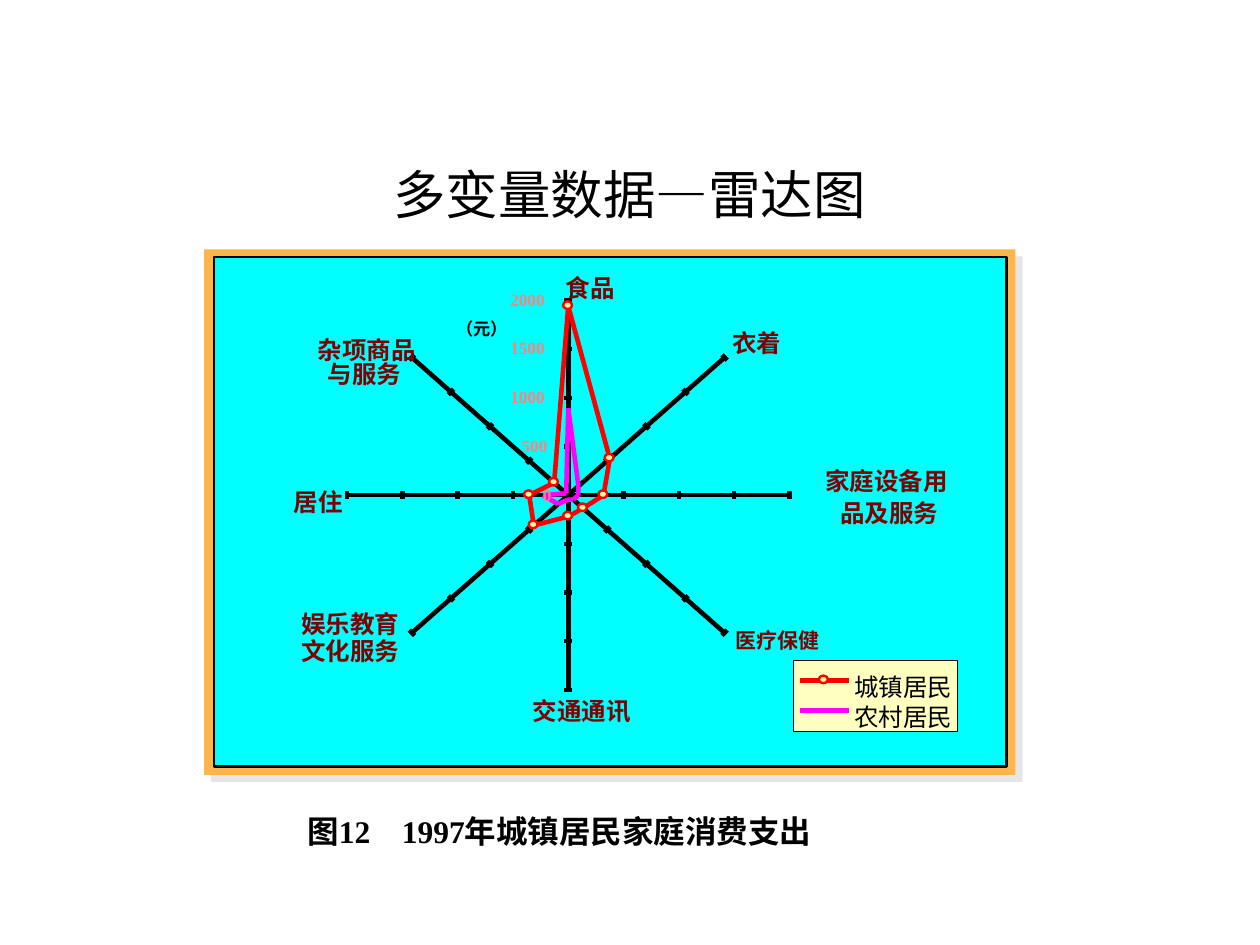
from math import cos, pi, sin

from lxml.etree import SubElement
from pptx import Presentation
from pptx.dml.color import RGBColor as Rgb
from pptx.enum.shapes import MSO_CONNECTOR as Connector, MSO_SHAPE as Shape
from pptx.enum.text import MSO_ANCHOR as Anchor, PP_ALIGN as Align
from pptx.oxml.ns import qn
from pptx.util import Inches, Pt

COLORS = {
    "frame": "FEB54A", "plot": "00FFFF", "legend": "FFFFC0", "ink": "000000",
    "urban": "FF0000", "rural": "FF00FF", "marker": "FFFF99",
    "scale": "FF8080", "category": "800000", "shadow": "E7E6E6",
}
CJK = "Noto Sans CJK SC"
# size, bold, font, colour, height in rows
STYLES = {
    "title": (30, False, "Calibri", "ink", 10.8),
    "caption": (18, True, "Times New Roman", "ink", 4),
    "category": (14, True, CJK, "category", 3.3),
    "small": (12, True, CJK, "category", 2.9),
    "scale": (9.8, True, "Times New Roman", "scale", 2.4),
    "unit": (9.8, True, CJK, "ink", 2.4),
    "legend": (14, False, CJK, "ink", 3.3),
}

deck = Presentation()
deck.slide_width, deck.slide_height = Inches(10), Inches(7.5)
page = deck.slides.add_slide(deck.slide_layouts[6])


def grid(*shares):
    """Turn alternating percentages of slide width and height into EMU."""
    sides = (deck.slide_width, deck.slide_height)
    return [round(share * sides[i % 2] / 100) for i, share in enumerate(shares)]


# Frame, plot area and legend box
panels = [
    ("frame", (16.2, 26.4, 64.4, 55.6), None),
    ("plot", (17, 27.2, 62.9, 53.9), 1.38),
    ("legend", (63, 69.9, 13, 7.5), 0),
]
for name, area, line_width in panels:
    box = page.shapes.add_shape(Shape.RECTANGLE, *grid(*area))
    box.shadow.inherit = False
    box.fill.solid()
    box.fill.fore_color.rgb = Rgb.from_string(COLORS[name])
    if line_width is None:
        box.line.fill.background()
        effects = box._element.spPr.find(qn("a:effectLst"))
        shadow = SubElement(effects, qn("a:outerShdw"), dist=str(Pt(5.7)),
                            dir="2700000", algn="ctr", rotWithShape="0")
        SubElement(shadow, qn("a:srgbClr"), val=COLORS["shadow"])
    else:
        box.line.color.rgb = Rgb.from_string(COLORS["ink"])
        box.line.width = Pt(line_width)

# Radar geometry: eight spokes, clockwise from the top
CENTER_X, CENTER_Y = 45.1, 52.4
RADIUS_X, RADIUS_Y = 17.55, 20.6
TICK_X, TICK_Y = 0.3, 0.4
SCALE_MAX = 2000
spending = {
    "urban": [1942, 532, 319, 190, 220, 440, 353, 180],
    "rural": [893, 130, 91, 65, 45, 130, 228, 26],
}
angles = [i * pi / 4 for i in range(8)]

strokes = []
for angle in angles:
    reach_x, reach_y = RADIUS_X * sin(angle), -RADIUS_Y * cos(angle)
    strokes.append(("ink", CENTER_X, CENTER_Y, CENTER_X + reach_x, CENTER_Y + reach_y))
    half_x, half_y = TICK_X * cos(angle), TICK_Y * sin(angle)
    for step in range(1, 5):
        x, y = CENTER_X + reach_x * step / 4, CENTER_Y + reach_y * step / 4
        strokes.append(("ink", x - half_x, y - half_y, x + half_x, y + half_y))

points = {
    name: [(CENTER_X + RADIUS_X * sin(angle) * value / SCALE_MAX,
            CENTER_Y - RADIUS_Y * cos(angle) * value / SCALE_MAX)
           for angle, value in zip(angles, values)]
    for name, values in spending.items()
}
legend_rows = {"urban": 72, "rural": 75.2}
for name, corners in points.items():
    for start, end in zip(corners, corners[1:] + corners[:1]):
        strokes.append((name, *start, *end))
    strokes.append((name, 63.5, legend_rows[name], 67.4, legend_rows[name]))

for color, *ends in strokes:
    line = page.shapes.add_connector(Connector.STRAIGHT, *grid(*ends))
    line.line.color.rgb = Rgb.from_string(COLORS[color])
    line.line.width = Pt(2.63)
    SubElement(line._element.spPr, qn("a:effectLst"))

for x, y in points["urban"] + [(65.4, legend_rows["urban"])]:
    dot = page.shapes.add_shape(Shape.OVAL, *grid(x - 0.4, y - 0.5, 0.7, 0.8))
    dot.shadow.inherit = False
    dot.fill.solid()
    dot.fill.fore_color.rgb = Rgb.from_string(COLORS["marker"])
    dot.line.color.rgb = Rgb.from_string(COLORS["urban"])
    dot.line.width = Pt(1.38)

# Texts: style, wording, left, top, width
labels = [("scale", str(500 * i), left, 51.2 - 5.15 * i, 3)
          for i, left in enumerate([43.1, 41.4, 40.5, 40.5, 40.5])]
labels += [
    ("category", "食品", 44.9, 28.9, 4.2),
    ("category", "衣着", 58.1, 34.7, 4.5),
    ("category", "家庭设备用", 65.5, 49.3, 10.3),
    ("category", "品及服务", 66.7, 52.7, 8.3),
    ("small", "医疗保健", 58.4, 66.4, 7.1),
    ("category", "交通通讯", 42.3, 73.6, 8.3),
    ("category", "娱乐教育", 23.9, 64.4, 8.3),
    ("category", "文化服务", 23.9, 67.3, 8.3),
    ("category", "居住", 23.3, 51.5, 4.2),
    ("category", "杂项商品", 25.2, 35.5, 8.3),
    ("category", "与服务", 26, 38, 6.2),
    ("legend", "城镇居民", 67.8, 71.1, 8.3),
    ("legend", "农村居民", 67.8, 74.3, 8.3),
    ("unit", "（元）", 36.2, 33.7, 4.4),
    ("caption", "图12\t1997年城镇居民家庭消费支出", 24.4, 85.9, 43),
    ("title", "多变量数据—雷达图", 16.2, 15.5, 67.5),
]
for style, wording, left, top, width in labels:
    size, bold, font, color, height = STYLES[style]
    box = page.shapes.add_textbox(*grid(left, top, width, height))
    frame = box.text_frame
    layout = {"word_wrap": True, "margin_left": 0, "margin_right": 0,
              "margin_top": 0, "margin_bottom": 0}
    if style == "title":
        layout["vertical_anchor"] = Anchor.MIDDLE
    for attribute, value in layout.items():
        setattr(frame, attribute, value)
    para = frame.paragraphs[0]
    if style == "title":
        para.alignment, para.line_spacing = Align.CENTER, 0.9
    if "\t" in wording:
        tabs = SubElement(para._p.get_or_add_pPr(), qn("a:tabLst"))
        SubElement(tabs, qn("a:tab"), pos=str(Inches(0.75)), algn="l")
    span = para.add_run()
    span.text = wording
    for attribute, value in {"size": Pt(size), "bold": bold, "name": font}.items():
        setattr(span.font, attribute, value)
    span.font.color.rgb = Rgb.from_string(COLORS[color])
    SubElement(span._r.get_or_add_rPr(), qn("a:ea"), typeface=CJK)

deck.save("out.pptx")
